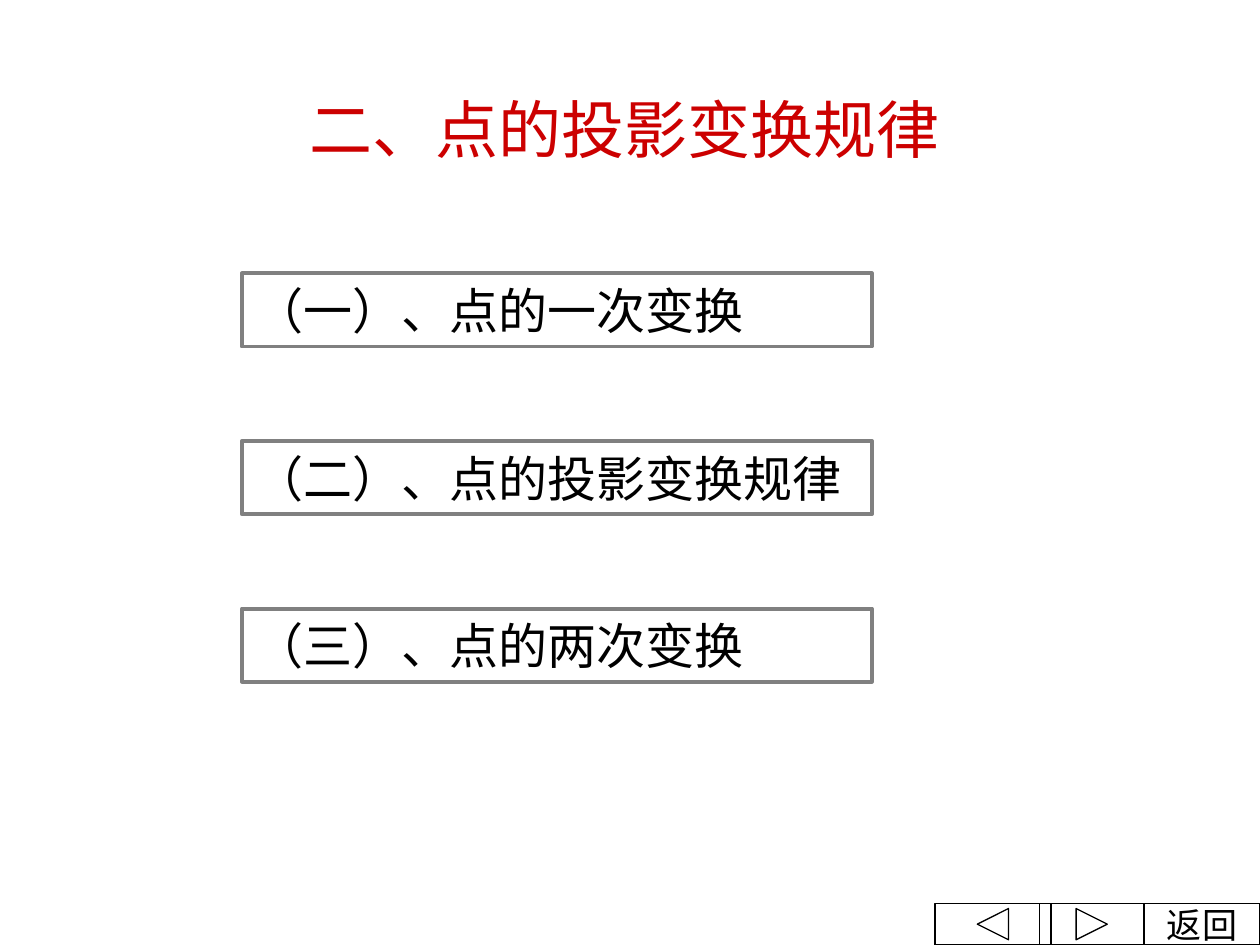
from pptx import Presentation
from pptx.dml.color import RGBColor
from pptx.enum.shapes import MSO_SHAPE as Preset
from pptx.enum.text import MSO_ANCHOR as Anchor, PP_ALIGN as Align
from pptx.util import Inches, Pt

COLORS = {"title": "CC0000", "text": "000000", "fill": "FFFFFF",
          "frame": "808080", "button": "000000"}
CJK_FONT, LATIN_FONT = "Noto Sans CJK JP", "Times New Roman"

TITLE = "二、点的投影变换规律"
TOPICS = ["（一）、点的一次变换", "（二）、点的投影变换规律", "（三）、点的两次变换"]
TOPIC_LEFT, TOPIC_TOP, TOPIC_STEP = 1.92, 2.17, 1.33
TOPIC_WIDTH, TOPIC_HEIGHT = 5, 0.58

# preset, left, width, label
NAVIGATION = [
    (Preset.ACTION_BUTTON_CUSTOM, 9.08, 0.92, "返回"),
    (Preset.ACTION_BUTTON_BACK_OR_PREVIOUS, 7.42, 0.92, ""),
    (Preset.ACTION_BUTTON_FORWARD_OR_NEXT, 8.25, 0.83, ""),
]
NAVIGATION_TOP, NAVIGATION_HEIGHT = 7.17, 0.33


def color(name):
    return RGBColor.from_string(COLORS[name])


def write(shape, text, *, size, font, ink="text", align=Align.LEFT, anchor=Anchor.MIDDLE):
    frame = shape.text_frame
    frame.word_wrap = True
    frame.vertical_anchor = anchor
    paragraph = frame.paragraphs[0]
    paragraph.alignment = align
    run = paragraph.add_run()
    run.text = text
    run.font.size = Pt(size)
    run.font.name = font
    run.font.color.rgb = color(ink)


def add_button(slide, preset, box, *, line, line_width, fill=None):
    shape = slide.shapes.add_shape(preset, *map(Inches, box))
    shape.shadow.inherit = False
    if fill:
        shape.fill.solid()
        shape.fill.fore_color.rgb = color(fill)
    else:
        shape.fill.background()
    shape.line.color.rgb = color(line)
    shape.line.width = Pt(line_width)
    return shape


def main():
    presentation = Presentation()
    presentation.slide_width, presentation.slide_height = Inches(10), Inches(7.5)
    slide = presentation.slides.add_slide(presentation.slide_layouts[6])

    title = slide.shapes.add_textbox(*map(Inches, (-0.08, 0.67, 10.08, 0.75)))
    write(title, TITLE, size=36, font=LATIN_FONT, ink="title",
          align=Align.CENTER, anchor=Anchor.TOP)

    for index, topic in enumerate(TOPICS):
        box = (TOPIC_LEFT, TOPIC_TOP + index * TOPIC_STEP, TOPIC_WIDTH, TOPIC_HEIGHT)
        button = add_button(slide, Preset.ACTION_BUTTON_CUSTOM, box,
                            line="frame", line_width=2.25, fill="fill")
        write(button, topic, size=28, font=CJK_FONT)

    for preset, left, width, label in NAVIGATION:
        box = (left, NAVIGATION_TOP, width, NAVIGATION_HEIGHT)
        button = add_button(slide, preset, box, line="button", line_width=0.75)
        if label:
            write(button, label, size=20, font=LATIN_FONT, align=Align.CENTER)

    presentation.save("out.pptx")


if __name__ == "__main__":
    main()
